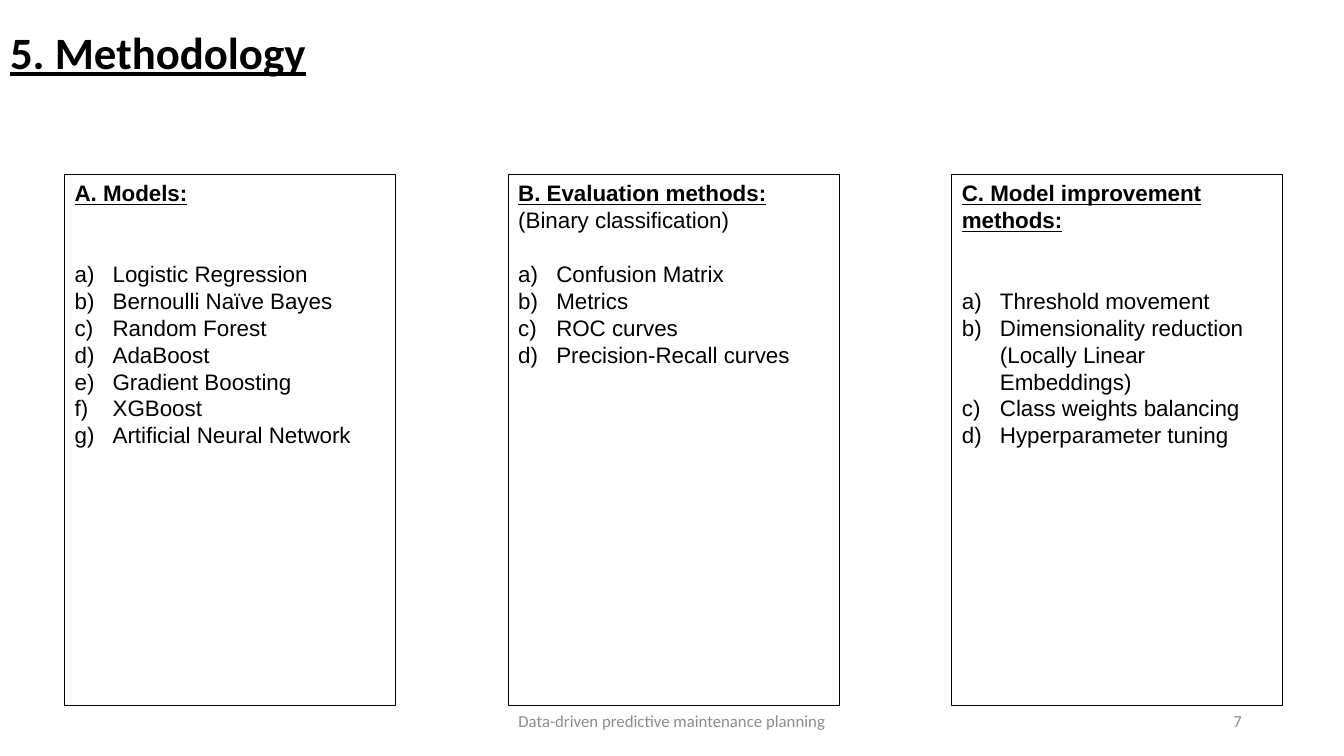
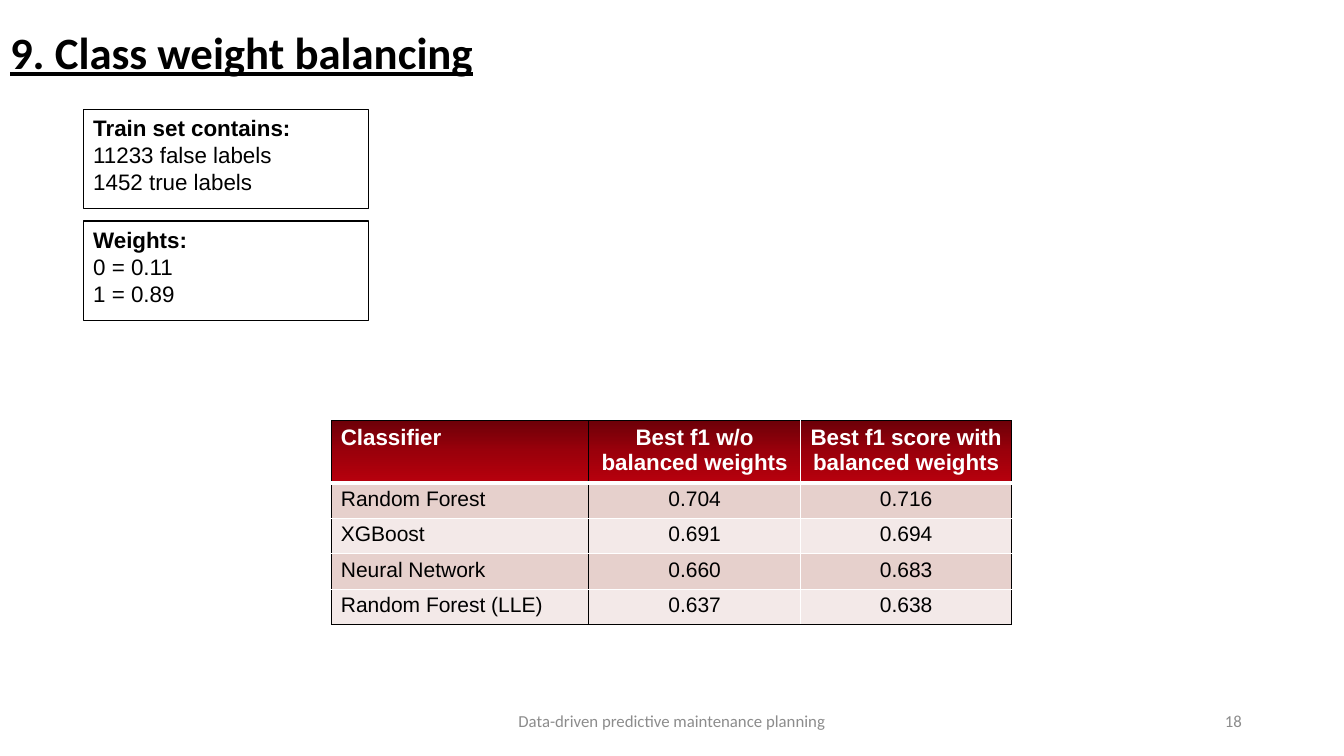
from dataclasses import dataclass
from lxml.etree import SubElement as Sub
from pptx import Presentation
from pptx.dml.color import RGBColor as Rgb
from pptx.enum.shapes import MSO_SHAPE as Kind
from pptx.enum.text import MSO_ANCHOR as Anchor, PP_ALIGN as Align
from pptx.oxml.ns import qn
from pptx.util import Cm, Pt

HUE = {
    "ink": "000000",
    "paper": "FFFFFF",
    "grey": "8C8C8C",
    "dark": "6D0008",
    "red": "9B000B",
    "light": "B8000D",
    "odd": "E6D0CC",
    "even": "F3E9E8",
}
FOOT = "Data-driven predictive maintenance planning"
PITCH = 19.2
HANG = Cm(0.96)


@dataclass
class Box:
    left: float
    top: float
    wide: float
    high: float
    head: str
    lines: tuple[str, ...] = ()
    items: tuple[str, ...] = ()
    gap: int = 0
    under: bool = False


@dataclass
class Edge:
    side: str
    hue: str
    width: float = 1


def write(para, text: str, *, size: float = 16, font: str = "Arial",
          hue: str = "ink", bold: bool = False, under: bool = False,
          align=Align.LEFT, pitch=None, gap: float = 0) -> None:
    para.alignment = align
    para.space_before = Pt(gap)
    if pitch:
        para.line_spacing = pitch
    run = para.add_run()
    run.text = text
    run.font.size = Pt(size)
    run.font.name = font
    run.font.bold = bold
    run.font.underline = under
    run.font.color.rgb = Rgb.from_string(HUE[hue])


def number(para) -> None:
    props = para._p.get_or_add_pPr()
    props.set("marL", str(HANG))
    props.set("indent", str(-HANG))
    Sub(props, qn("a:buFont")).set("typeface", "+mj-lt")
    Sub(props, qn("a:buAutoNum")).set("type", "alphaLcParenR")


def footer(slide, left: float, wide: float, text: str, align) -> None:
    frame = slide.shapes.add_textbox(
        Cm(left), Cm(17.65), Cm(wide), Cm(1.02)).text_frame
    frame.word_wrap = True
    frame.vertical_anchor = Anchor.MIDDLE
    write(frame.paragraphs[0], text, size=12, font="Calibri",
          hue="grey", align=align)


def page(deck, title: str, folio: int):
    slide = deck.slides.add_slide(deck.slide_layouts[5])
    head = slide.shapes.title
    head.left, head.top = Cm(0), Cm(0.66)
    head.width, head.height = Cm(31.72), Cm(1.45)
    head.text_frame.vertical_anchor = Anchor.MIDDLE
    write(head.text_frame.paragraphs[0], title, size=32, font="Calibri",
          bold=True, under=True, pitch=0.9)
    footer(slide, 11.22, 11.43, FOOT, Align.CENTER)
    footer(slide, 23.93, 7.62, str(folio), Align.RIGHT)
    return slide


def panel(slide, box: Box) -> None:
    shape = slide.shapes.add_shape(
        Kind.RECTANGLE, Cm(box.left), Cm(box.top), Cm(box.wide), Cm(box.high))
    shape.shadow.inherit = False
    shape.fill.background()
    shape.line.color.rgb = Rgb.from_string(HUE["ink"])
    shape.line.width = Pt(0.75)
    frame = shape.text_frame
    frame.word_wrap = True
    frame.vertical_anchor = Anchor.TOP
    write(frame.paragraphs[0], box.head, bold=True, under=box.under,
          pitch=Pt(PITCH))
    for line in box.lines:
        write(frame.add_paragraph(), line, pitch=Pt(PITCH))
    for rank, item in enumerate(box.items):
        para = frame.add_paragraph()
        number(para)
        write(para, item, pitch=Pt(PITCH), gap=0 if rank else box.gap * PITCH)


def solid(node, hue: str) -> None:
    Sub(Sub(node, qn("a:solidFill")), qn("a:srgbClr")).set("val", HUE[hue])


def border(props, edge: Edge) -> None:
    line = Sub(props, qn(f"a:ln{edge.side}"))
    line.set("w", str(Pt(edge.width)))
    solid(line, edge.hue)


def shade(props) -> None:
    grad = Sub(props, qn("a:gradFill"))
    stops = Sub(grad, qn("a:gsLst"))
    for pos, hue in ((0, "dark"), (50, "red"), (100, "light")):
        stop = Sub(stops, qn("a:gs"))
        stop.set("pos", str(pos * 1000))
        Sub(stop, qn("a:srgbClr")).set("val", HUE[hue])
    Sub(grad, qn("a:lin")).set("ang", str(90 * 60000))


def grid(slide, rows: list[tuple[str, ...]]) -> None:
    widths = (6.48, 5.33, 5.33)
    highs = [1.49] + [0.89] * (len(rows) - 1)
    table = slide.shapes.add_table(
        len(rows), len(widths), Cm(8.36), Cm(10.6),
        Cm(sum(widths)), Cm(sum(highs))).table
    table.first_row = table.horz_banding = False
    for col, wide in zip(table.columns, widths):
        col.width = Cm(wide)
    for row, high in zip(table.rows, highs):
        row.height = Cm(high)
    last = len(rows) - 1
    for r, row in enumerate(rows):
        for c, text in enumerate(row):
            cell = table.cell(r, c)
            cell.margin_left = cell.margin_right = Cm(0.23)
            cell.margin_top = cell.margin_bottom = Cm(0.11)
            write(cell.text_frame.paragraphs[0], text,
                  size=15 if r else 16, bold=not r,
                  hue="ink" if r else "paper",
                  align=Align.CENTER if c else Align.LEFT)
            props = cell._tc.get_or_add_tcPr()
            for edge in (
                Edge("L", "paper" if c == 2 else "ink"),
                Edge("R", "paper" if c == 1 else "ink"),
                Edge("T", "paper" if r else "ink", 3 if r == 1 else 1),
                Edge("B", "ink" if r == last else "paper", 1 if r else 3),
            ):
                border(props, edge)
            if r:
                solid(props, "odd" if r % 2 else "even")
            else:
                shade(props)


def methods(deck) -> None:
    slide = page(deck, "5. Methodology", 7)
    topics = (
        ("A. Models:", (), 2, (
            "Logistic Regression", "Bernoulli Naïve Bayes", "Random Forest",
            "AdaBoost", "Gradient Boosting", "XGBoost",
            "Artificial Neural Network")),
        ("B. Evaluation methods:", ("(Binary classification)",), 1, (
            "Confusion Matrix", "Metrics", "ROC curves",
            "Precision-Recall curves")),
        ("C. Model improvement methods:", (), 2, (
            "Threshold movement",
            "Dimensionality reduction (Locally Linear Embeddings)",
            "Class weights balancing", "Hyperparameter tuning")),
    )
    for i, (head, lines, gap, items) in enumerate(topics):
        panel(slide, Box(1.63 + 11.18 * i, 4.4, 8.34, 13.38,
                         head, lines, items, gap, True))


def weights(deck) -> None:
    slide = page(deck, "9. Class weight balancing", 18)
    facts = (
        ("Train set contains:", ("11233 false labels", "1452 true labels")),
        ("Weights:", ("0 = 0.11", "1 = 0.89")),
    )
    for i, (head, lines) in enumerate(facts):
        panel(slide, Box(2.1, 2.75 + 2.82 * i, 7.2, 2.5, head, lines))
    grid(slide, [
        ("Classifier", "Best f1 w/o balanced weights",
         "Best f1 score with balanced weights"),
        ("Random Forest", "0.704", "0.716"),
        ("XGBoost", "0.691", "0.694"),
        ("Neural Network", "0.660", "0.683"),
        ("Random Forest (LLE)", "0.637", "0.638"),
    ])


def main() -> None:
    deck = Presentation()
    deck.slide_width, deck.slide_height = Cm(33.87), Cm(19.05)
    methods(deck)
    weights(deck)
    deck.save("out.pptx")


if __name__ == "__main__":
    main()
